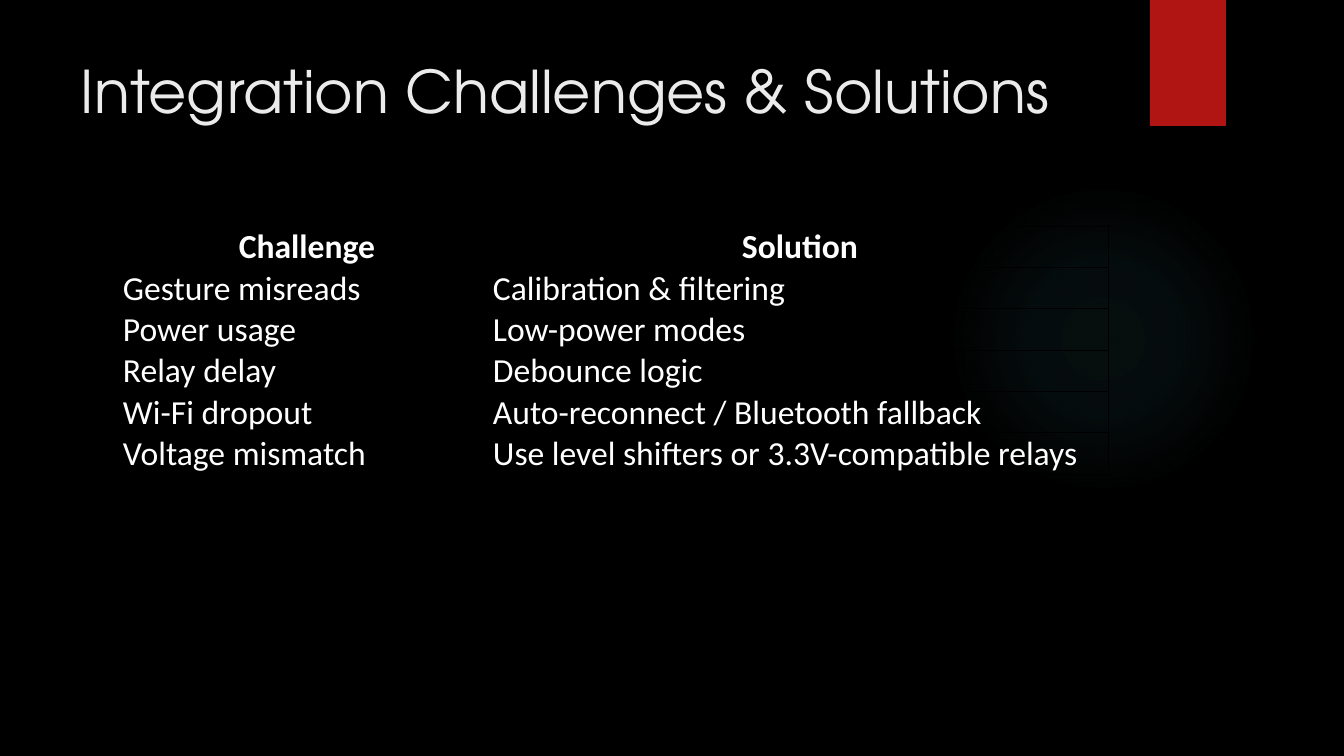
from dataclasses import dataclass

from pptx import Presentation
from pptx.dml.color import RGBColor
from pptx.enum.shapes import MSO_SHAPE as Preset
from pptx.enum.text import MSO_ANCHOR as Anchor, PP_ALIGN as Align
from pptx.oxml import parse_xml
from pptx.oxml.ns import nsdecls, qn
from pptx.util import Emu, Pt

EMU_PER_PX = 12192000 / 1344
COLORS = {
    "background": "000000",
    "border": "000000",
    "glow": "50B9C1",
    "ribbon": "B01513",
    "title": "EBEBEB",
    "body": "FFFFFF",
}
GLOW_STOPS = {0: 7, 36: 6, 69: 0}  # position % -> opacity %
TITLE = "Integration Challenges & Solutions"
COLUMN_WIDTHS = (370, 616)
ROW_HEIGHT = 41
ROWS = (
    ("Challenge", "Solution"),
    ("Gesture misreads", "Calibration & filtering"),
    ("Power usage", "Low-power modes"),
    ("Relay delay", "Debounce logic"),
    ("Wi-Fi dropout", "Auto-reconnect / Bluetooth fallback"),
    ("Voltage mismatch", "Use level shifters or 3.3V-compatible relays"),
)


def px(length: int) -> Emu:
    return Emu(round(length * EMU_PER_PX))


def color(name: str) -> RGBColor:
    return RGBColor.from_string(COLORS[name])


@dataclass(frozen=True)
class Area:
    left: int
    top: int
    width: int
    height: int

    def emu(self) -> tuple:
        return tuple(map(px, (self.left, self.top, self.width, self.height)))


@dataclass(frozen=True)
class TextStyle:
    font: str
    size: int
    color: str
    bold: bool = False
    align: Align = Align.LEFT


@dataclass(frozen=True)
class Decoration:
    preset: Preset
    area: Area
    color: str
    stops: dict | None = None


TITLE_AREA = Area(71, 50, 1037, 154)
TABLE_AREA = Area(122, 226, sum(COLUMN_WIDTHS), ROW_HEIGHT * len(ROWS))
TITLE_STYLE = TextStyle("TeX Gyre Adventor", 42, "title")
HEADER_STYLE = TextStyle("Calibri", 24, "body", True, Align.CENTER)
BODY_STYLE = TextStyle("Calibri", 24, "body")
DECORATIONS = (
    Decoration(Preset.OVAL, Area(948, 184, 310, 310), "glow", GLOW_STOPS),
    Decoration(Preset.RECTANGLE, Area(1150, 0, 76, 126), "ribbon"),
)


def write(frame, text: str, style: TextStyle) -> None:
    para = frame.paragraphs[0]
    para.alignment = style.align
    span = para.add_run()
    span.text = text
    formats = {"name": style.font, "size": Pt(style.size), "bold": style.bold}
    for name, value in formats.items():
        setattr(span.font, name, value)
    span.font.color.rgb = color(style.color)


def radial_fill(name: str, stops: dict):
    """Build a gradient that spreads from the centre with fading opacity."""
    stop_xml = "".join(
        f'<a:gs pos="{position * 1000}"><a:srgbClr val="{COLORS[name]}">'
        f'<a:alpha val="{opacity * 1000}"/></a:srgbClr></a:gs>'
        for position, opacity in stops.items()
    )
    return parse_xml(
        f'<a:gradFill {nsdecls("a")}><a:gsLst>{stop_xml}</a:gsLst>'
        '<a:path path="circle"><a:fillToRect l="50000" t="50000" '
        'r="50000" b="50000"/></a:path></a:gradFill>'
    )


def add_decoration(page, item: Decoration) -> None:
    shape = page.shapes.add_shape(item.preset, *item.area.emu())
    shape.shadow.inherit = False
    shape.line.fill.background()
    if item.stops:
        shape.fill.background()
        properties = shape.element.spPr
        properties.replace(
            properties.find(qn("a:noFill")), radial_fill(item.color, item.stops)
        )
    else:
        shape.fill.solid()
        shape.fill.fore_color.rgb = color(item.color)


def add_title(page) -> None:
    box = page.shapes.add_textbox(*TITLE_AREA.emu())
    box.text_frame.word_wrap = True
    box.text_frame.vertical_anchor = Anchor.TOP
    write(box.text_frame, TITLE, TITLE_STYLE)


def outline(cell) -> None:
    properties = cell._tc.get_or_add_tcPr()
    for index, side in enumerate("LRTB"):
        properties.insert(index, parse_xml(
            f'<a:ln{side} {nsdecls("a")} w="{Pt(0.5)}"><a:solidFill>'
            f'<a:srgbClr val="{COLORS["border"]}"/></a:solidFill></a:ln{side}>'
        ))


def add_challenge_table(page) -> None:
    table = page.shapes.add_table(
        len(ROWS), len(COLUMN_WIDTHS), *TABLE_AREA.emu()
    ).table
    table.first_row = table.horz_banding = False
    for column, width in zip(table.columns, COLUMN_WIDTHS):
        column.width = px(width)
    cell_formats = {
        "margin_left": px(1),
        "margin_right": px(1),
        "margin_top": px(1),
        "margin_bottom": px(0),
        "vertical_anchor": Anchor.MIDDLE,
    }
    for row_index, texts in enumerate(ROWS):
        table.rows[row_index].height = px(ROW_HEIGHT)
        style = BODY_STYLE if row_index else HEADER_STYLE
        for column_index, text in enumerate(texts):
            cell = table.cell(row_index, column_index)
            for name, value in cell_formats.items():
                setattr(cell, name, value)
            cell.fill.background()
            outline(cell)
            write(cell.text_frame, text, style)


def main() -> None:
    deck = Presentation()
    deck.slide_width, deck.slide_height = px(1344), px(756)
    page = deck.slides.add_slide(deck.slide_layouts[6])
    page.background.fill.solid()
    page.background.fill.fore_color.rgb = color("background")
    for item in DECORATIONS:
        add_decoration(page, item)
    add_title(page)
    add_challenge_table(page)
    deck.save("out.pptx")


if __name__ == "__main__":
    main()
